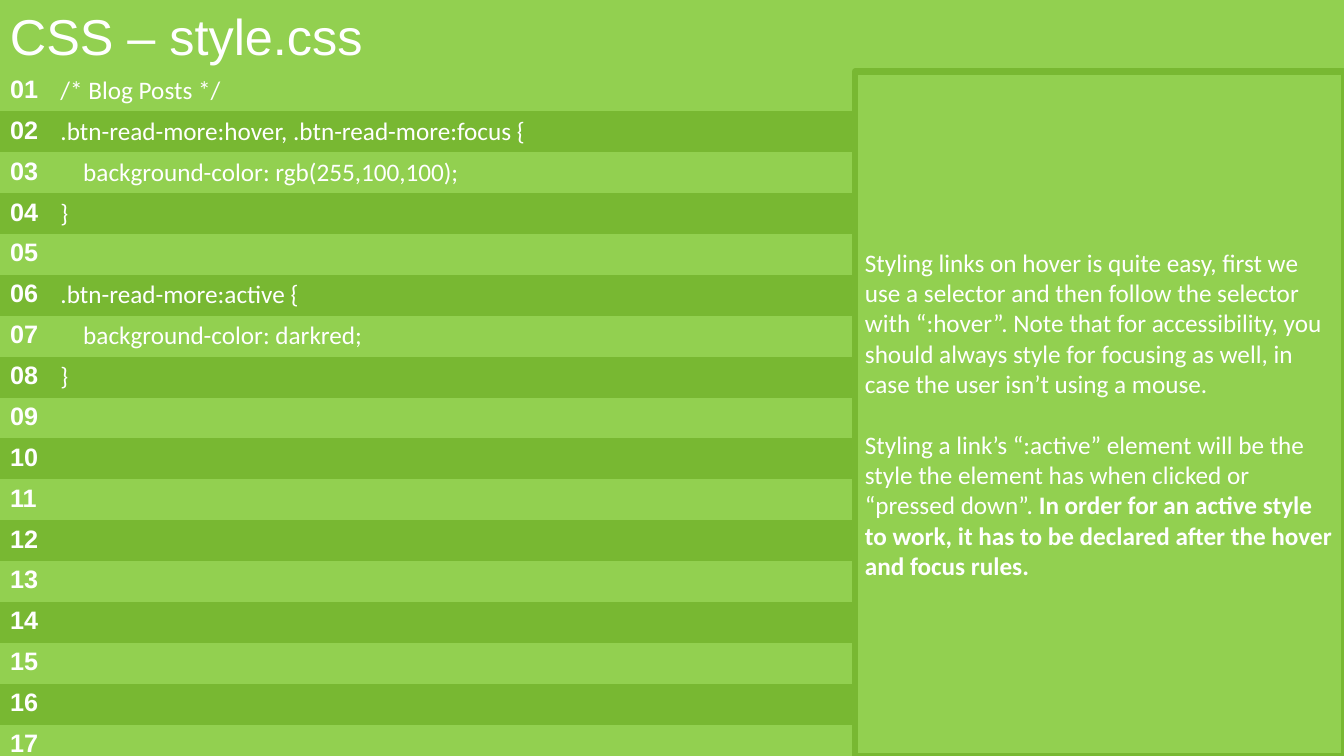
from pptx import Presentation
from pptx.dml.color import RGBColor
from pptx.enum.dml import MSO_PATTERN
from pptx.enum.shapes import MSO_SHAPE
from pptx.enum.text import MSO_ANCHOR, PP_ALIGN
from pptx.oxml.ns import qn
from pptx.util import Inches, Pt

RECTANGLE = MSO_SHAPE.RECTANGLE
TOP, MIDDLE = MSO_ANCHOR.TOP, MSO_ANCHOR.MIDDLE
LEFT = PP_ALIGN.LEFT
PERCENT_5 = MSO_PATTERN.PERCENT_5

LIGHT_GREEN, DARK_GREEN, WHITE = "92D050", "78B832", "FFFFFF"
PATTERN_BLUE = "5B9BD5"
NO_STYLE_NO_GRID = "{2D5ABB26-0587-4C30-8999-92F81FD0307C}"

LINE_COUNT = 17
CODE_LINES = [
    "/* Blog Posts */",
    ".btn-read-more:hover, .btn-read-more:focus {",
    "    background-color: rgb(255,100,100);",
    "}",
    "",
    ".btn-read-more:active {",
    "    background-color: darkred;",
    "}",
]
EXPLANATION = [
    [("Styling links on hover is quite easy, first we use a selector and then "
      "follow the selector with “:hover”. Note that for accessibility, you should "
      "always style for focusing as well, in case the user isn’t using a mouse.", False)],
    [("Styling a link’s “:active” element will be the style the element has when "
      "clicked or “pressed down”. ", False),
     ("In order for an active style to work, it has to be declared after the hover "
      "and focus rules.", True)],
]


def color(hex_string):
    return RGBColor.from_string(hex_string)


def add_run(paragraph, text, font_name, size=18, bold=False):
    run = paragraph.add_run()
    run.text = text
    run.font.name = font_name
    run.font.size = Pt(size)
    run.font.bold = bold
    run.font.color.rgb = color(WHITE)


def add_box(slide, left, top, width, height, anchor):
    """Add a light green rectangle ready for left-aligned text."""
    shape = slide.shapes.add_shape(
        RECTANGLE, Inches(left), Inches(top), Inches(width), Inches(height))
    shape.shadow.inherit = False
    shape.fill.solid()
    shape.fill.fore_color.rgb = color(LIGHT_GREEN)
    shape.line.fill.background()
    shape.text_frame.word_wrap = True
    shape.text_frame.vertical_anchor = anchor
    shape.text_frame.paragraphs[0].alignment = LEFT
    return shape


def add_background(slide):
    fill = slide.background.fill
    fill.patterned()
    fill.pattern = PERCENT_5
    fill.fore_color.rgb = color(PATTERN_BLUE)
    fill.back_color.rgb = color(WHITE)


def add_code_table(slide, left, top, width, height):
    """Add numbered code lines; the last row takes the height that remains."""
    number_width, last_height = Inches(0.5), Inches(0.31)
    table = slide.shapes.add_table(
        LINE_COUNT, 2, Inches(left), Inches(top), Inches(width), Inches(height)).table
    table.first_row = table.horz_banding = False
    table._tbl.tblPr.find(qn("a:tableStyleId")).text = NO_STYLE_NO_GRID
    table.columns[0].width = number_width
    table.columns[1].width = Inches(width) - number_width

    row_height = (Inches(height) - last_height) // (LINE_COUNT - 1)
    for index, row in enumerate(table.rows):
        row.height = row_height if index < LINE_COUNT - 1 else last_height
        number_cell, code_cell = row.cells
        for cell in (number_cell, code_cell):
            cell.fill.solid()
            cell.fill.fore_color.rgb = color(DARK_GREEN if index % 2 else LIGHT_GREEN)
        add_run(number_cell.text_frame.paragraphs[0], f"{index + 1:02}", "Arial", bold=True)
        if index < len(CODE_LINES) and CODE_LINES[index]:
            add_run(code_cell.text_frame.paragraphs[0], CODE_LINES[index], "Calibri")


def add_title(slide, left, top, width, height):
    shape = add_box(slide, left, top, width, height, TOP)
    add_run(shape.text_frame.paragraphs[0], "CSS – style.css", "Arial", size=36)


def add_explanation(slide, left, top, width, height):
    shape = add_box(slide, left, top, width, height, MIDDLE)
    shape.line.color.rgb = color(DARK_GREEN)
    shape.line.width = Pt(4.5)
    frame = shape.text_frame
    for index, parts in enumerate(EXPLANATION):
        paragraph = frame.add_paragraph() if index else frame.paragraphs[0]
        paragraph.alignment = LEFT
        if index:
            paragraph.space_before = Pt(22)
        for text, bold in parts:
            add_run(paragraph, text, "Calibri", bold=bold)


def main():
    presentation = Presentation()
    presentation.slide_width = Inches(13.33)
    presentation.slide_height = Inches(7.5)
    slide = presentation.slides.add_slide(presentation.slide_layouts[6])
    add_background(slide)
    add_code_table(slide, 0, 0.7, 9.37, 6.8)
    add_title(slide, 0, 0, 13.33, 0.71)
    add_explanation(slide, 8.48, 0.71, 4.85, 6.79)
    presentation.save("out.pptx")


if __name__ == "__main__":
    main()
